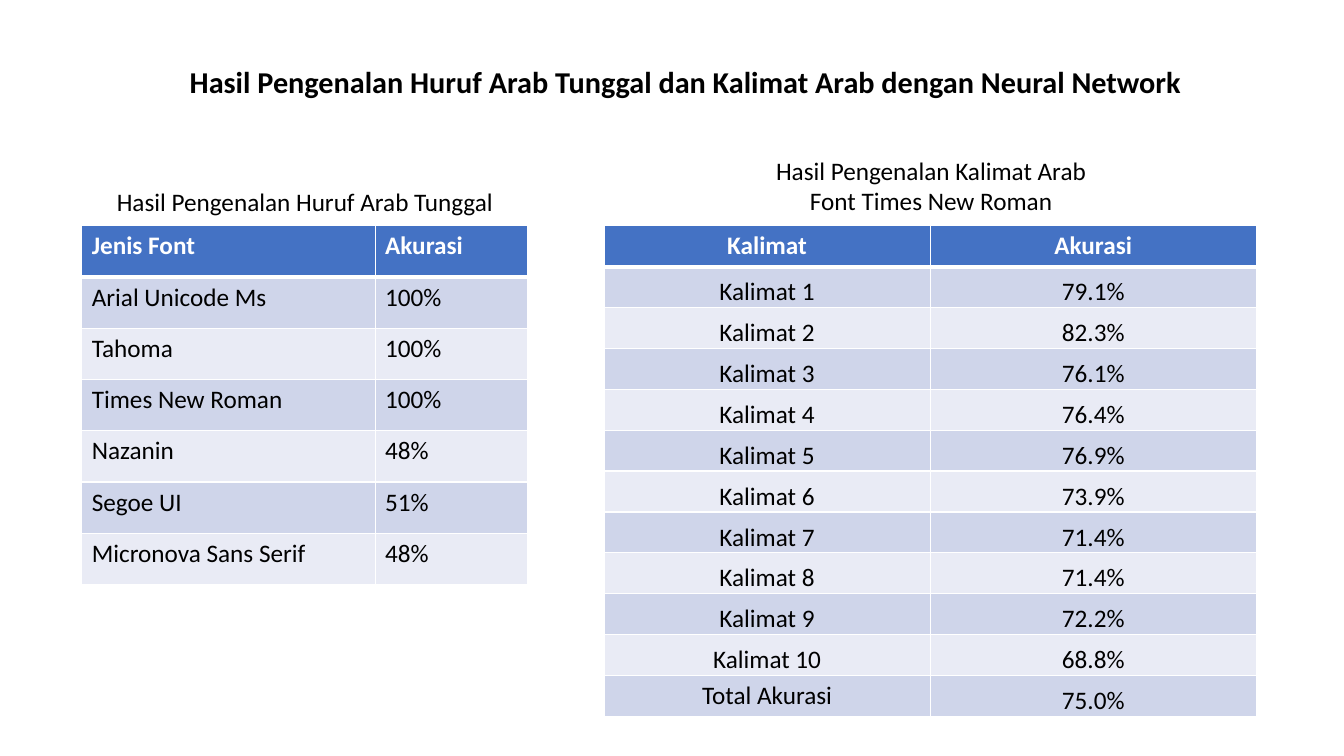
from lxml import etree
from pptx import Presentation
from pptx import util as u
from pptx.dml.color import RGBColor
from pptx.enum import text
from pptx.oxml import ns

COLORS = {"header": "4472C4", "odd": "CFD5EA", "even": "E9EBF5",
          "white": "FFFFFF", "black": "000000"}
LEFT, CENTER = text.PP_ALIGN.LEFT, text.PP_ALIGN.CENTER
TOP, MIDDLE, BOTTOM = (text.MSO_ANCHOR.TOP, text.MSO_ANCHOR.MIDDLE,
                       text.MSO_ANCHOR.BOTTOM)

FONT_ROWS = [
    ("Jenis Font", "Akurasi"), ("Arial Unicode Ms", "100%"),
    ("Tahoma", "100%"), ("Times New Roman", "100%"), ("Nazanin", "48%"),
    ("Segoe UI", "51%"), ("Micronova Sans Serif", "48%"),
]
ACCURACIES = [79.1, 82.3, 76.1, 76.4, 76.9, 73.9, 71.4, 71.4, 72.2, 68.8]
SENTENCE_ROWS = [
    ("Kalimat", "Akurasi"),
    *((f"Kalimat {n}", f"{a}%") for n, a in enumerate(ACCURACIES, 1)),
    ("Total Akurasi", "75.0%"),
]


class Deck:
    """Holds the style and current slide; lengths are percent of its size."""

    font, size = "Calibri", 18

    def __init__(self):
        self.prs = Presentation()
        self.prs.slide_width, self.prs.slide_height = u.Inches(13.33), u.Inches(7.5)
        self.s = self.prs.slides.add_slide(self.prs.slide_layouts[6])

    def x(self, share):
        return round(self.prs.slide_width * share / 100)

    def y(self, share):
        return round(self.prs.slide_height * share / 100)

    def style(self, p, align, color="black", size=None, bold=False):
        p.alignment = align
        p.font.name, p.font.size, p.font.bold = self.font, u.Pt(size or self.size), bold
        p.font.color.rgb = RGBColor.from_string(COLORS[color])

    def text(self, lines, left, top, width, height, align=LEFT, anchor=TOP,
             indent=0.1, spacing=1.0, **font):
        sp = self.s.shapes.add_textbox(self.x(left), self.y(top),
                                       self.x(width), self.y(height))
        tf = sp.text_frame
        tf.word_wrap, tf.vertical_anchor = True, anchor
        tf.margin_left = u.Inches(indent)
        tf.text = "\n".join(lines)
        for p in tf.paragraphs:
            self.style(p, align, **font)
            p.line_spacing = spacing

    def border(self, cell, sides):
        """Draw white cell edges; sides maps L, R, T, B (in order) to points."""
        props = cell._tc.get_or_add_tcPr()
        for side, width in sides.items():
            ln = etree.SubElement(props, ns.qn(f"a:ln{side}"), w=str(u.Pt(width)))
            fill = etree.SubElement(ln, ns.qn("a:solidFill"))
            etree.SubElement(fill, ns.qn("a:srgbClr"), val=COLORS["white"])

    def table(self, rows, left, top, widths, row_height, align=LEFT, tight=False):
        """Add a banded table; tight sets values low, with thin margins."""
        table = self.s.shapes.add_table(
            len(rows), len(widths), self.x(left), self.y(top),
            self.x(sum(widths)), self.y(row_height * len(rows))).table
        for column, width in zip(table.columns, widths):
            column.width = self.x(width)
        for i, row in enumerate(rows):
            table.rows[i].height = self.y(row_height)
            band = "header" if i == 0 else "odd" if i % 2 else "even"
            for j, value in enumerate(row):
                cell = table.cell(i, j)
                cell.text = value
                self.style(cell.text_frame.paragraphs[0], align,
                           "black" if i else "white", bold=i == 0)
                if tight and i and value != "Total Akurasi":
                    cell.vertical_anchor = BOTTOM
                    cell.margin_left = cell.margin_right = cell.margin_top = u.Inches(0.01)
                    cell.margin_bottom = 0
                self.border(cell, {"L": 1, "R": 1, "B": 1} if i else
                            {"L": 1, "R": 1, "T": 1, "B": 3})
                cell.fill.solid()
                cell.fill.fore_color.rgb = RGBColor.from_string(COLORS[band])


def main():
    deck = Deck()
    table_top = 29.87
    deck.text(["Hasil Pengenalan Huruf Arab Tunggal dan Kalimat Arab dengan Neural Network"],
              5.1, 7.33, 84.32, 7.47, CENTER, MIDDLE, indent=1.1, spacing=0.9,
              size=21.6, bold=True)
    deck.table(FONT_ROWS, 6.08, table_top, (21.83, 11.33), 6.78)
    deck.text(["Hasil Pengenalan Huruf Arab Tunggal"], 7.95, 24, 31.28, 5.33)
    deck.table(SENTENCE_ROWS, 44.94, table_top, (24.27, 24.27), 5.41, CENTER, tight=True)
    deck.text(["Hasil Pengenalan Kalimat Arab", "Font Times New Roman"],
              56.86, 19.87, 24.83, 13.47, CENTER)
    deck.prs.save("out.pptx")


if __name__ == "__main__":
    main()
